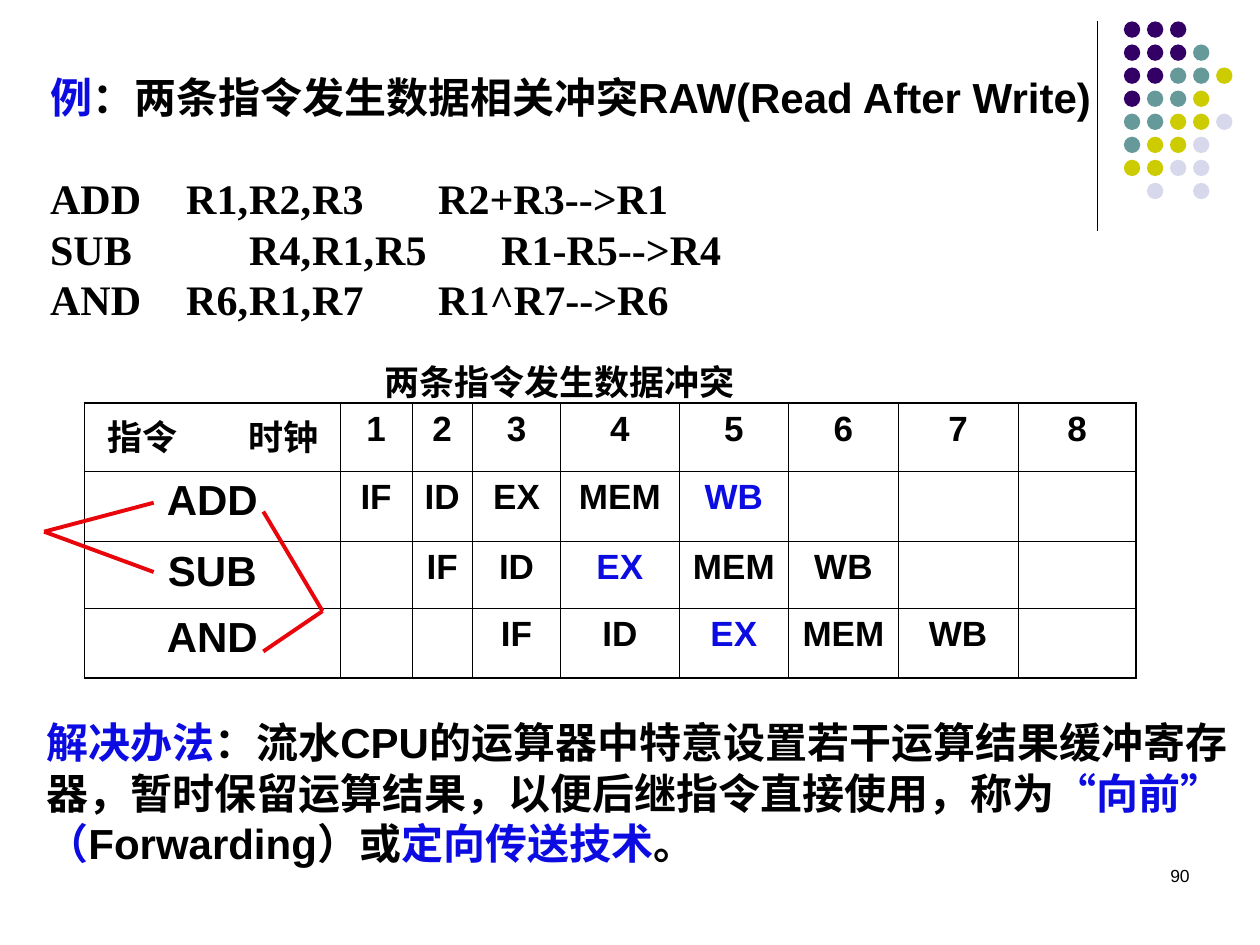
import pptx
import pptx.dml.color
import pptx.enum.shapes
import pptx.enum.text
import pptx.oxml.ns
import pptx.util
from lxml import etree

Inches = pptx.util.Inches
Pt = pptx.util.Pt
RGBColor = pptx.dml.color.RGBColor
ALIGN = pptx.enum.text.PP_ALIGN
STRAIGHT = pptx.enum.shapes.MSO_CONNECTOR.STRAIGHT
OVAL = pptx.enum.shapes.MSO_SHAPE.OVAL
qn = pptx.oxml.ns.qn

BLACK = RGBColor(0x00, 0x00, 0x00)
BLUE = RGBColor(0x0C, 0x0C, 0xE2)
RED = RGBColor(0xE8, 0x06, 0x0B)
DOT_COLOURS = {
    "P": RGBColor(0x33, 0x00, 0x66),
    "T": RGBColor(0x66, 0x99, 0x99),
    "Y": RGBColor(0xCC, 0xCC, 0x00),
    "L": RGBColor(0xD8, 0xD8, 0xEC),
}
DOT_ROWS = ["PPP", "PPPT", "PPTTY", "PTTY", "TTYYL", "TYYL", "YYLL", " L L"]

STAGES = ["IF", "ID", "EX", "MEM", "WB"]
INSTRUCTIONS = [("ADD", "WB"), ("SUB", "EX"), ("AND", "EX")]  # name, conflicting stage
COLUMN_WIDTHS = [2.03, 0.57, 0.48, 0.7, 0.94, 0.87, 0.87, 0.95, 0.94]
ROW_HEIGHTS = [0.54, 0.56, 0.53, 0.55]
THICK, THIN = Pt(1.08), Pt(0.45)


def set_tabs(para, stops):
    """Add left tab stops, given in inches; call before the font is set."""
    tab_list = etree.SubElement(para._p.get_or_add_pPr(), qn("a:tabLst"))
    for stop in stops:
        etree.SubElement(tab_list, qn("a:tab"), pos=str(Inches(stop)), algn="l")


def write(para, spans, size, name="Arial", bold=True):
    """Fill a paragraph with (text, colour) spans in one font."""
    para.font.size, para.font.name, para.font.bold = Pt(size), name, bold
    for text, colour in spans:
        span = para.add_run()
        span.text = text
        span.font.color.rgb = colour


def add_text_frame(page, left, top, width, height):
    box = page.shapes.add_textbox(Inches(left), Inches(top), Inches(width), Inches(height))
    box.text_frame.word_wrap = True
    return box.text_frame


def add_line(shapes, start, end, colour, weight):
    line = shapes.add_connector(STRAIGHT, *map(Inches, start + end))
    line.line.color.rgb = colour
    line.line.width = Pt(weight)
    etree.SubElement(line._element.spPr, qn("a:effectLst"))


def add_chevron(page, first, tip, last):
    """Two lines that meet at a tip and tie two instructions together."""
    group = page.shapes.add_group_shape()
    for end in (first, last):
        add_line(group.shapes, end, tip, RED, 2.25)


def add_dots(page):
    group = page.shapes.add_group_shape()
    for row, pattern in enumerate(DOT_ROWS):
        for column, key in enumerate(pattern):
            if key not in DOT_COLOURS:
                continue
            dot = group.shapes.add_shape(
                OVAL, Inches(8.92 + 0.183 * column), Inches(0.17 + 0.183 * row),
                Inches(0.13), Inches(0.13))
            dot.shadow.inherit = False
            dot.fill.solid()
            dot.fill.fore_color.rgb = DOT_COLOURS[key]
            dot.line.fill.background()


def add_example(page):
    frame = add_text_frame(page, 0, 0.52, 9, 2.18)
    title = [("例", BLUE), ("：两条指令发生数据相关冲突RAW(Read After Write)", BLACK)]
    code = ["ADD\tR1,\tR2,\tR3\t\tR2+R3-->R1",
            "SUB\t\tR4,\tR1,\tR5\t\tR1-R5-->R4",
            "AND\tR6,\tR1,\tR7\t\tR1^R7-->R6"]
    for index, spans in enumerate([title] + [[(line, BLACK)] for line in code]):
        para = frame.paragraphs[0] if index == 0 else frame.add_paragraph()
        para.alignment = ALIGN.JUSTIFY
        properties = para._p.get_or_add_pPr()
        properties.set("marL", str(Inches(0.38)))
        properties.set("indent", str(Inches(-0.08)))
        if index == 1:
            para.space_before = Pt(29)
        set_tabs(para, range(8))
        write(para, spans, 24, "Arial" if index == 0 else "Times New Roman")


def set_borders(cell, row, column):
    """Thick on the outside of the table, thin between cells."""
    outer = {"L": column == 0, "R": column == len(COLUMN_WIDTHS) - 1,
             "T": row == 0, "B": row == len(ROW_HEIGHTS) - 1}
    properties = cell._tc.get_or_add_tcPr()
    for index, (side, thick) in enumerate(outer.items()):
        border = etree.Element(qn("a:ln" + side), w=str(THICK if thick else THIN))
        fill = etree.SubElement(border, qn("a:solidFill"))
        etree.SubElement(fill, qn("a:srgbClr"), val=str(BLACK))
        properties.insert(index, border)


def add_pipeline_table(page):
    table = page.shapes.add_table(
        len(ROW_HEIGHTS), len(COLUMN_WIDTHS), Inches(0.67), Inches(3.2),
        Inches(sum(COLUMN_WIDTHS)), Inches(sum(ROW_HEIGHTS))).table
    table.first_row = table.horz_banding = False
    for column, width in zip(table.columns, COLUMN_WIDTHS):
        column.width = Inches(width)
    for row, height in enumerate(ROW_HEIGHTS):
        table.rows[row].height = Inches(height)
        for column in range(len(COLUMN_WIDTHS)):
            cell = table.cell(row, column)
            cell.fill.background()
            set_borders(cell, row, column)

    def put(row, column, text, colour=BLACK, size=20):
        para = table.cell(row, column).text_frame.paragraphs[0]
        para.alignment = ALIGN.CENTER
        write(para, [(text, colour)], size)

    corner = table.cell(0, 0)
    corner.margin_left = Inches(0.18)
    heading = corner.text_frame.paragraphs[0]
    set_tabs(heading, [1.12])
    write(heading, [("指令\t时钟", BLACK)], 20)
    for clock in range(1, len(COLUMN_WIDTHS)):
        put(0, clock, str(clock))
    for row, (name, conflict) in enumerate(INSTRUCTIONS, 1):
        put(row, 0, name, size=24)
        for clock, stage in enumerate(STAGES, row):
            put(row, clock, stage, BLUE if stage == conflict else BLACK)


def main():
    deck = pptx.Presentation()
    deck.slide_width, deck.slide_height = Inches(10), Inches(7.5)
    page = deck.slides.add_slide(deck.slide_layouts[6])

    add_line(page.shapes, (8.71, 0.17), (8.71, 1.83), BLACK, 0.75)
    add_dots(page)
    number = add_text_frame(page, 9.02, 6.82, 0.52, 0.5).paragraphs[0]
    number.alignment = ALIGN.RIGHT
    write(number, [("90", BLACK)], 10, bold=False)

    add_example(page)
    add_pipeline_table(page)
    caption = add_text_frame(page, 2.95, 2.81, 3.07, 0.44).paragraphs[0]
    write(caption, [("两条指令发生数据冲突", BLACK)], 20)
    solution = add_text_frame(page, 0.27, 5.64, 9.57, 1.3).paragraphs[0]
    write(solution, [
        ("解决办法", BLUE),
        ("：流水CPU的运算器中特意设置若干运算结果缓冲寄存器，暂时保留运算结果，"
         "以便后继指令直接使用，称为", BLACK),
        ("“向前” （", BLUE),
        ("Forwarding）或", BLACK),
        ("定向传送技术", BLUE),
        ("。", BLACK),
    ], 24)

    add_chevron(page, (1.22, 3.99), (0.35, 4.22), (1.22, 4.54))
    add_chevron(page, (2.09, 4.06), (2.56, 4.85), (2.09, 5.17))
    deck.save("out.pptx")


if __name__ == "__main__":
    main()
